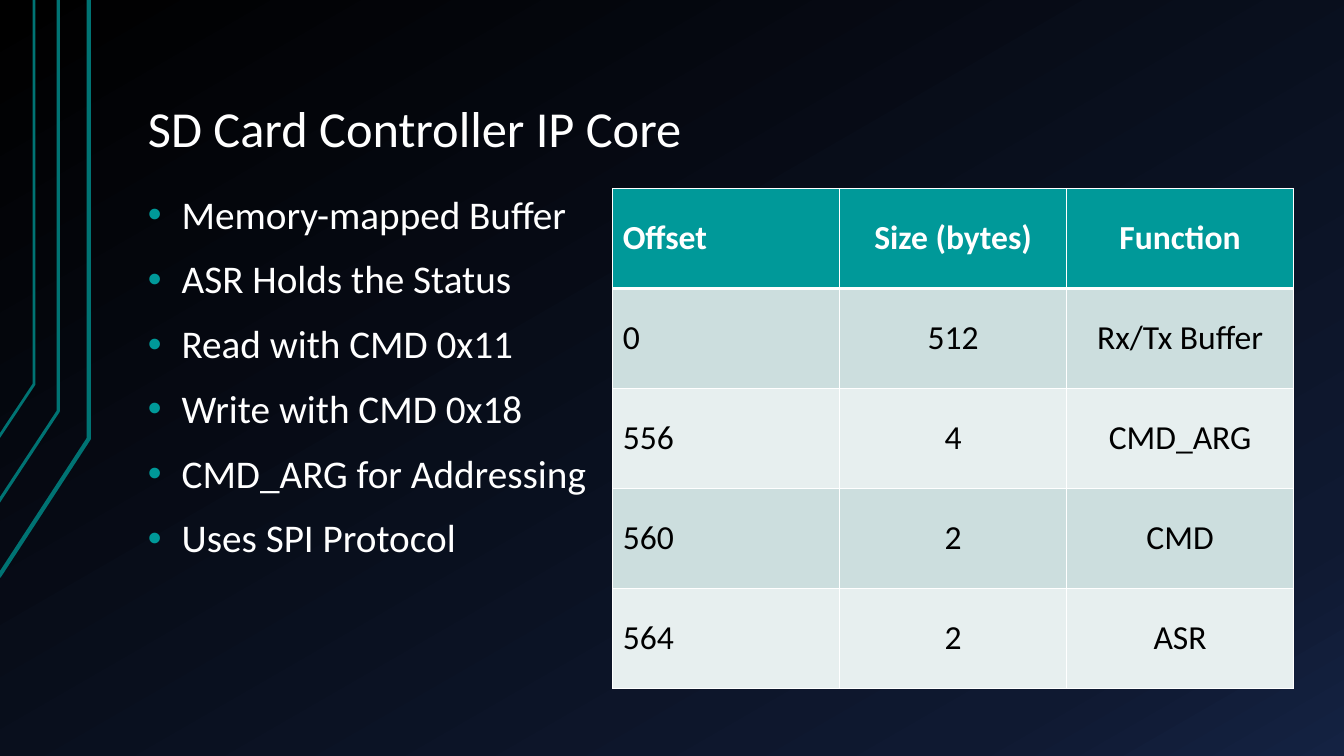
from pptx import Presentation
from pptx.dml.color import RGBColor
from pptx.enum.text import MSO_ANCHOR, PP_ALIGN
from pptx.oxml import parse_xml
from pptx.oxml.ns import nsdecls
from pptx.util import Cm, Pt

BOTTOM, MIDDLE, TOP = MSO_ANCHOR.BOTTOM, MSO_ANCHOR.MIDDLE, MSO_ANCHOR.TOP
LEFT, CENTER = PP_ALIGN.LEFT, PP_ALIGN.CENTER

FONT = "Calibri"
COLORS = {
    "white": "FFFFFF",
    "black": "000000",
    "teal": "009999",
    "dark teal": "007373",
    "navy": "0F1931",
    "blue": "142242",
    "band": "CCDEDE",
    "light band": "E7EFEF",
}
BACKGROUND_STOPS = [(0, "black"), (85, "navy"), (100, "blue")]
# Each trace: start x, start y, bend x, bend y in cm, then width in points
TRACES = [
    (-0.03, 14.53, 2.24, 11.05, 3),
    (-0.05, 12.67, 1.47, 10.36, 2.25),
    (-0.03, 11.02, 0.86, 9.68, 2),
]
BULLETS = [
    "Memory-mapped Buffer",
    "ASR Holds the Status",
    "Read with CMD 0x11",
    "Write with CMD 0x18",
    "CMD_ARG for Addressing",
    "Uses SPI Protocol",
]
REGISTERS = [
    ("Offset", "Size (bytes)", "Function"),
    ("0", "512", "Rx/Tx Buffer"),
    ("556", "4", "CMD_ARG"),
    ("560", "2", "CMD"),
    ("564", "2", "ASR"),
]
COLUMN_WIDTH, ROW_HEIGHT = 5.72, 2.52


def rgb(name):
    """Return the named colour."""
    return RGBColor.from_string(COLORS[name])


def set_background(page):
    """Fill the page with the diagonal gradient."""
    stops = "".join(
        f'<a:gs pos="{percent * 1000}"><a:srgbClr val="{COLORS[name]}"/></a:gs>'
        for percent, name in BACKGROUND_STOPS
    )
    background = parse_xml(
        f'<p:bg {nsdecls("p", "a")}><p:bgPr><a:gradFill rotWithShape="1">'
        f'<a:gsLst>{stops}</a:gsLst><a:lin ang="{60 * 60000}" scaled="0"/>'
        "</a:gradFill><a:effectLst/></p:bgPr></p:bg>"
    )
    page.element.cSld.insert(0, background)


def add_trace(page, start_x, start_y, bend_x, bend_y, width):
    """Draw a circuit trace from the left edge to a bend and up to the top."""
    builder = page.shapes.build_freeform(Cm(start_x), Cm(start_y))
    corners = [(Cm(bend_x), Cm(bend_y)), (Cm(bend_x), 0)]
    builder.add_line_segments(corners, close=False)
    trace = builder.convert_to_shape()
    trace.shadow.inherit = False
    trace.fill.background()
    trace.line.color.rgb = rgb("dark teal")
    trace.line.width = Pt(width)


def add_span(para, text, size, color, bold=False):
    """Append one formatted run to a paragraph."""
    span = para.add_run()
    span.text = text
    span.font.name = FONT
    span.font.size = Pt(size)
    span.font.bold = bold
    span.font.color.rgb = rgb(color)


def add_bullet(para):
    """Give a paragraph a hanging teal bullet."""
    properties = para._p.get_or_add_pPr()
    properties.set("marL", str(Cm(0.85)))
    properties.set("indent", str(-Cm(0.85)))
    for xml in (
        f'<a:buClr {nsdecls("a")}><a:srgbClr val="{COLORS["teal"]}"/></a:buClr>',
        f'<a:buFont {nsdecls("a")} typeface="Arial"/>',
        f'<a:buChar {nsdecls("a")} char="\u2022"/>',
    ):
        properties.append(parse_xml(xml))


def add_text(page, left, top, width, height, lines, size, anchor, bulleted=False):
    """Add a wrapped text box with one paragraph per line."""
    box = page.shapes.add_textbox(Cm(left), Cm(top), Cm(width), Cm(height))
    frame = box.text_frame
    frame.word_wrap = True
    frame.vertical_anchor = anchor
    frame.margin_left = frame.margin_right = Cm(0.34)
    frame.margin_top = frame.margin_bottom = Cm(0.17)
    for index, line in enumerate(lines):
        para = frame.add_paragraph() if index else frame.paragraphs[0]
        para.line_spacing = 0.9
        if bulleted:
            para.space_before = Pt(16)
            add_bullet(para)
        add_span(para, line, size, "white")


def set_borders(cell, top, bottom):
    """Draw white cell borders, with top and bottom widths in points."""
    properties = cell._tc.get_or_add_tcPr()
    widths = {"lnL": 1, "lnR": 1, "lnT": top, "lnB": bottom}
    for index, (side, width) in enumerate(widths.items()):
        border = parse_xml(
            f'<a:{side} {nsdecls("a")} w="{Pt(width)}"><a:solidFill>'
            f'<a:srgbClr val="{COLORS["white"]}"/></a:solidFill></a:{side}>'
        )
        properties.insert(index, border)


def fill_cell(cell, text, row, column):
    """Style one register cell by its row and column."""
    header = row == 0
    cell.fill.solid()
    band = "band" if row % 2 else "light band"
    cell.fill.fore_color.rgb = rgb("teal" if header else band)
    cell.vertical_anchor = MIDDLE
    para = cell.text_frame.paragraphs[0]
    para.alignment = CENTER if column else LEFT
    add_span(para, text, 24, "white" if header else "black", header)
    set_borders(cell, 3 if row == 1 else 1, 3 if header else 1)


def add_register_table(page, left, top):
    """Add the register map as a table of equal cells."""
    rows, columns = len(REGISTERS), len(REGISTERS[0])
    table = page.shapes.add_table(
        rows, columns, Cm(left), Cm(top),
        Cm(columns * COLUMN_WIDTH), Cm(rows * ROW_HEIGHT),
    ).table
    table.horz_banding = False
    for row, texts in enumerate(REGISTERS):
        for column, text in enumerate(texts):
            fill_cell(table.cell(row, column), text, row, column)


def main():
    """Build and save the slide."""
    deck = Presentation()
    deck.slide_width, deck.slide_height = Cm(33.87), Cm(19.05)
    page = deck.slides.add_slide(deck.slide_layouts[6])
    set_background(page)
    for trace in TRACES:
        add_trace(page, *trace)
    add_text(page, 3.39, 0.76, 28.78, 3.4, ["SD Card Controller IP Core"], 36, BOTTOM)
    add_text(page, 3.39, 4.75, 14.1, 12.4, BULLETS, 28, TOP, bulleted=True)
    add_register_table(page, 15.44, 4.75)
    deck.save("out.pptx")


main()
